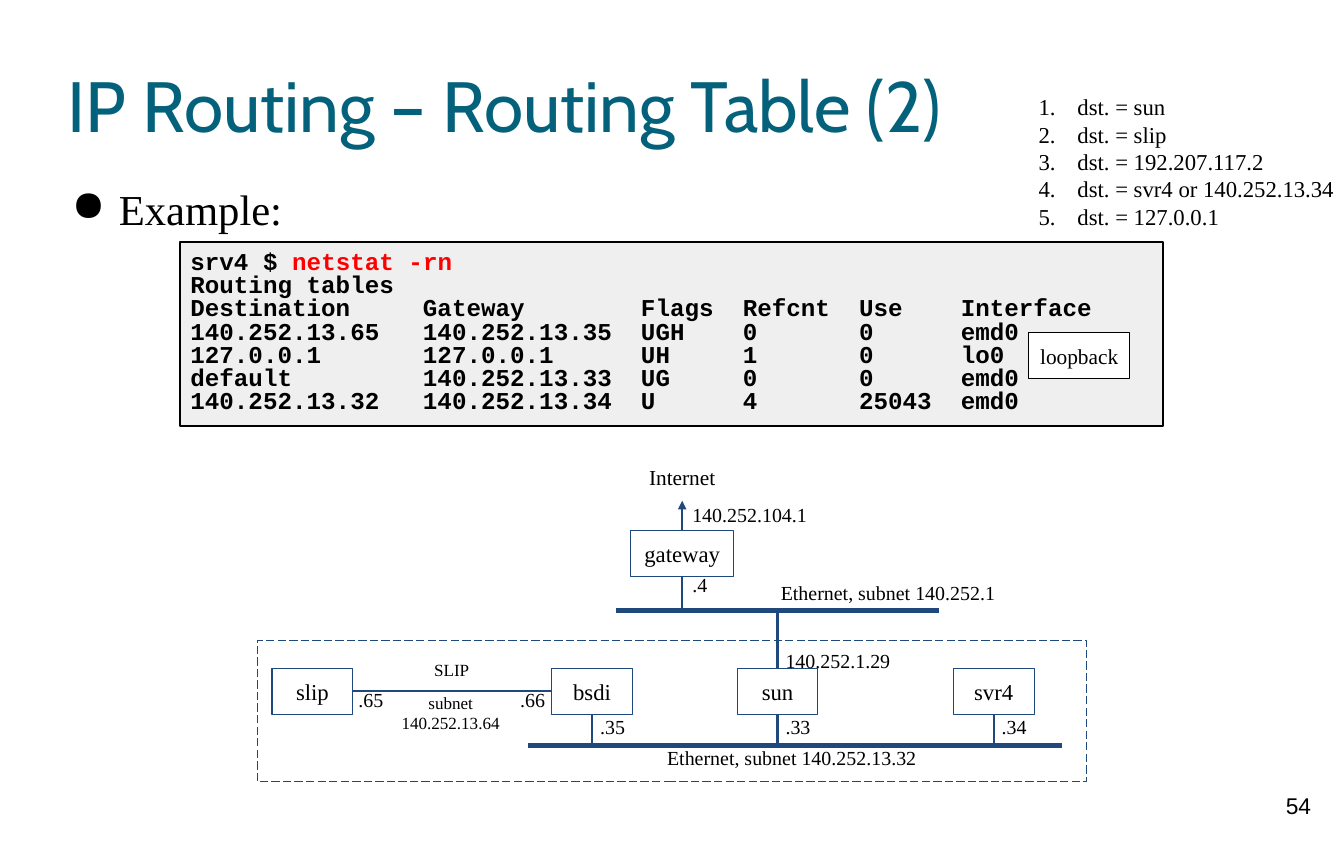
from dataclasses import dataclass

import pptx
import pptx.dml.color
import pptx.enum.dml
import pptx.enum.shapes
import pptx.enum.text
import pptx.oxml.ns
import pptx.util
from lxml import etree

TITLE = "IP Routing – Routing Table (2)"
TOPIC = "Example:"
PAGE = "54"
QUESTIONS = ["sun", "slip", "192.207.117.2", "svr4 or 140.252.13.34", "127.0.0.1"]
PROMPT, COMMAND = "srv4 $ ", "netstat -rn"
TABLE_NAME = "Routing tables"
FIELD_WIDTHS = (16, 15, 7, 8, 7, 0)
ROUTES = [
    ("Destination", "Gateway", "Flags", "Refcnt", "Use", "Interface"),
    ("140.252.13.65", "140.252.13.35", "UGH", "0", "0", "emd0"),
    ("127.0.0.1", "127.0.0.1", "UH", "1", "0", "lo0"),
    ("default", "140.252.13.33", "UG", "0", "0", "emd0"),
    ("140.252.13.32", "140.252.13.34", "U", "4", "25043", "emd0"),
]

# Network grid in inches: one column per host axis, one row per level
COL = {"slip": 3.05, "bsdi": 5.78, "gateway": 6.66, "sun": 7.59, "svr4": 9.7}
ROW = {"internet": 4.89, "gateway": 5.4, "outer": 5.96, "host": 6.75, "inner": 7.28}
HOST_W, GATEWAY_W, HOST_H = 0.79, 1.0, 0.45
HOST_BOTTOM, HOST_TOP = ROW["host"] + HOST_H / 2, ROW["host"] - HOST_H / 2
GATEWAY_BOTTOM, GATEWAY_TOP = ROW["gateway"] + HOST_H / 2, ROW["gateway"] - HOST_H / 2

HOSTS = [(name, "gateway" if name == "gateway" else "host") for name in COL]
SITE = (2.51, 6.25, 8.1, 1.38)
ETHERNETS = [("outer", 6.01, 9.17), ("inner", 5.15, 10.37)]
DROPS = [
    ("gateway", GATEWAY_BOTTOM, ROW["outer"]),
    ("sun", ROW["outer"], HOST_TOP),
    *[(name, HOST_BOTTOM, ROW["inner"]) for name in ("bsdi", "sun", "svr4")],
]

# Interface address, column, top, width
ADDRESSES = [
    (".35", "bsdi", 6.88, 0.62),
    (".33", "sun", 6.88, 0.62),
    (".34", "svr4", 6.88, 0.62),
    (".4", "gateway", 5.49, 0.62),
    ("140.252.104.1", "gateway", 4.81, 1.7),
    ("140.252.1.29", "sun", 6.23, 1.7),
]
SLIP_ENDS = [(".65", 3.4), (".66", 4.98)]

# Network name, centre, top, width, type size
NETWORKS = [
    ("Internet", COL["gateway"], 4.43, 1.1, "internet"),
    ("Ethernet, subnet 140.252.1", 8.67, 5.57, 2.92, "address"),
    ("Ethernet, subnet 140.252.13.32", 7.73, 7.18, 2.92, "address"),
    ("SLIP", 4.41, 6.34, 1.1, "slip"),
    ("subnet\v140.252.13.64", 4.4, 6.66, 1.3, "slip"),
]


@dataclass(frozen=True)
class Theme:
    title: str = "04617B"
    ink: str = "000000"
    command: str = "FF0000"
    console: str = "EFEFEF"
    paper: str = "FFFFFF"
    wire: str = "1F497D"
    serif: str = "Times New Roman"
    sizes = {"title": 50, "topic": 30, "console": 17, "host": 16,
             "internet": 15, "address": 14, "slip": 12}


THEME = Theme()
CENTER = pptx.enum.text.PP_ALIGN.CENTER
LEFT = pptx.enum.text.PP_ALIGN.LEFT
TOP = pptx.enum.text.MSO_ANCHOR.TOP
MIDDLE = pptx.enum.text.MSO_ANCHOR.MIDDLE
RECTANGLE = pptx.enum.shapes.MSO_SHAPE.RECTANGLE
STRAIGHT = pptx.enum.shapes.MSO_CONNECTOR.STRAIGHT

deck = pptx.Presentation()
deck.slide_width, deck.slide_height = pptx.util.Inches(13.12), pptx.util.Inches(8.27)
slide = deck.slides.add_slide(deck.slide_layouts[6])


def inches(*lengths):
    return [pptx.util.Inches(length) for length in lengths]


def rgb(color):
    return pptx.dml.color.RGBColor.from_string(color)


def add_xml(parent, tag, **attributes):
    return etree.SubElement(parent, pptx.oxml.ns.qn(tag), attributes)


def style_run(run, size, font=THEME.serif, color=THEME.ink, bold=False):
    run.font.size, run.font.name = pptx.util.Pt(THEME.sizes[size]), font
    run.font.color.rgb, run.font.bold = rgb(color), bold


def write(shape, text, size, align=LEFT, anchor=TOP, inset=0.1, spacing=None, **style):
    frame = shape.text_frame
    frame.text, frame.word_wrap, frame.vertical_anchor = text, True, anchor
    frame.margin_left = frame.margin_right = pptx.util.Inches(inset)
    frame.margin_top = frame.margin_bottom = pptx.util.Inches(inset)
    for paragraph in frame.paragraphs:
        paragraph.alignment = align
        if spacing:
            paragraph.line_spacing = spacing
        for run in paragraph.runs:
            style_run(run, size, **style)
    return frame


def label(box, text, size, **style):
    return write(slide.shapes.add_textbox(*inches(*box)), text, size, **style)


def rectangle(box, line, weight=0.75, fill=None):
    shape = slide.shapes.add_shape(RECTANGLE, *inches(*box))
    shape.shadow.inherit = False
    if fill:
        shape.fill.solid()
        shape.fill.fore_color.rgb = rgb(fill)
    else:
        shape.fill.background()
    shape.line.color.rgb, shape.line.width = rgb(line), pptx.util.Pt(weight)
    return shape


def wire(x1, y1, x2, y2, weight=1.5, arrow=False):
    connector = slide.shapes.add_connector(STRAIGHT, *inches(x1, y1, x2, y2))
    connector.line.color.rgb = rgb(THEME.wire)
    connector.line.width = pptx.util.Pt(weight)
    if arrow:
        add_xml(connector.line._get_or_add_ln(), "a:tailEnd", type="triangle")
    add_xml(connector._element.spPr, "a:effectLst")


def hang(paragraph, margin, indent, tag, **marker):
    """Give a paragraph a hanging bullet or number."""
    properties = paragraph._p.get_or_add_pPr()
    properties.set("marL", str(pptx.util.Inches(margin)))
    properties.set("indent", str(pptx.util.Inches(indent)))
    add_xml(add_xml(properties, "a:buClr"), "a:srgbClr", val=THEME.ink)
    add_xml(properties, tag, **marker)


def draw_text():
    label((12.28, 7.63, 0.79, 0.63), PAGE, "host", align=CENTER, font="Arial")
    label((0.66, 0.33, 11.81, 1.38), TITLE, "title", anchor=MIDDLE, inset=0,
          font="Cabin", color=THEME.title)
    topic = label((0.66, 1.71, 11.84, 0.5), TOPIC, "topic", inset=0, spacing=1.15)
    hang(topic.paragraphs[0], 0.5, -0.46, "a:buChar", char="●")
    questions = "\n".join(f"dst. = {target}" for target in QUESTIONS)
    for question in label((10.04, 0.81, 3.28, 1.55), questions, "host").paragraphs:
        hang(question, 0.38, -0.38, "a:buAutoNum", type="arabicPeriod")


def draw_console():
    lines = [PROMPT, TABLE_NAME]
    for route in ROUTES:
        lines.append("".join(f.ljust(w) for f, w in zip(route, FIELD_WIDTHS)))
    mono = {"font": "Courier New", "bold": True}
    console = rectangle((1.76, 2.36, 9.59, 1.8), THEME.ink, 1.5, THEME.console)
    frame = write(console, "\n".join(lines), "console", spacing=0.8, **mono)
    command = frame.paragraphs[0].add_run()
    command.text = COMMAND
    style_run(command, "console", color=THEME.command, **mono)


def draw_network():
    site = rectangle(SITE, THEME.wire)
    site.line.dash_style = pptx.enum.dml.MSO_LINE.LONG_DASH
    for row, start, end in ETHERNETS:
        wire(start, ROW[row], end, ROW[row], weight=3)
    for col, start, end in DROPS:
        wire(COL[col], start, COL[col], end)
    wire(COL["slip"] + HOST_W / 2, ROW["host"], COL["bsdi"] - HOST_W / 2, ROW["host"])
    wire(COL["gateway"], GATEWAY_TOP, COL["gateway"], ROW["internet"], arrow=True)
    for name, row in HOSTS:
        width = GATEWAY_W if name == "gateway" else HOST_W
        box = (COL[name] - width / 2, ROW[row] - HOST_H / 2, width, HOST_H)
        write(rectangle(box, THEME.wire), name, "host", align=CENTER, anchor=MIDDLE)
    for address, col, top, width in ADDRESSES:
        nudge = 0 if col == "gateway" else 0.02
        label((COL[col] - nudge, top, width, 0.44), address, "address")
    for address, left in SLIP_ENDS:
        label((left, 6.61, 0.89, 0.44), address, "address")
    for name, center, top, width, size in NETWORKS:
        label((center - width / 2, top, width, 0.44), name, size, align=CENTER)


draw_text()
draw_console()
draw_network()
loopback = rectangle((10.04, 3.25, 0.99, 0.45), THEME.ink, fill=THEME.paper)
write(loopback, "loopback", "internet", align=CENTER)
deck.save("out.pptx")
